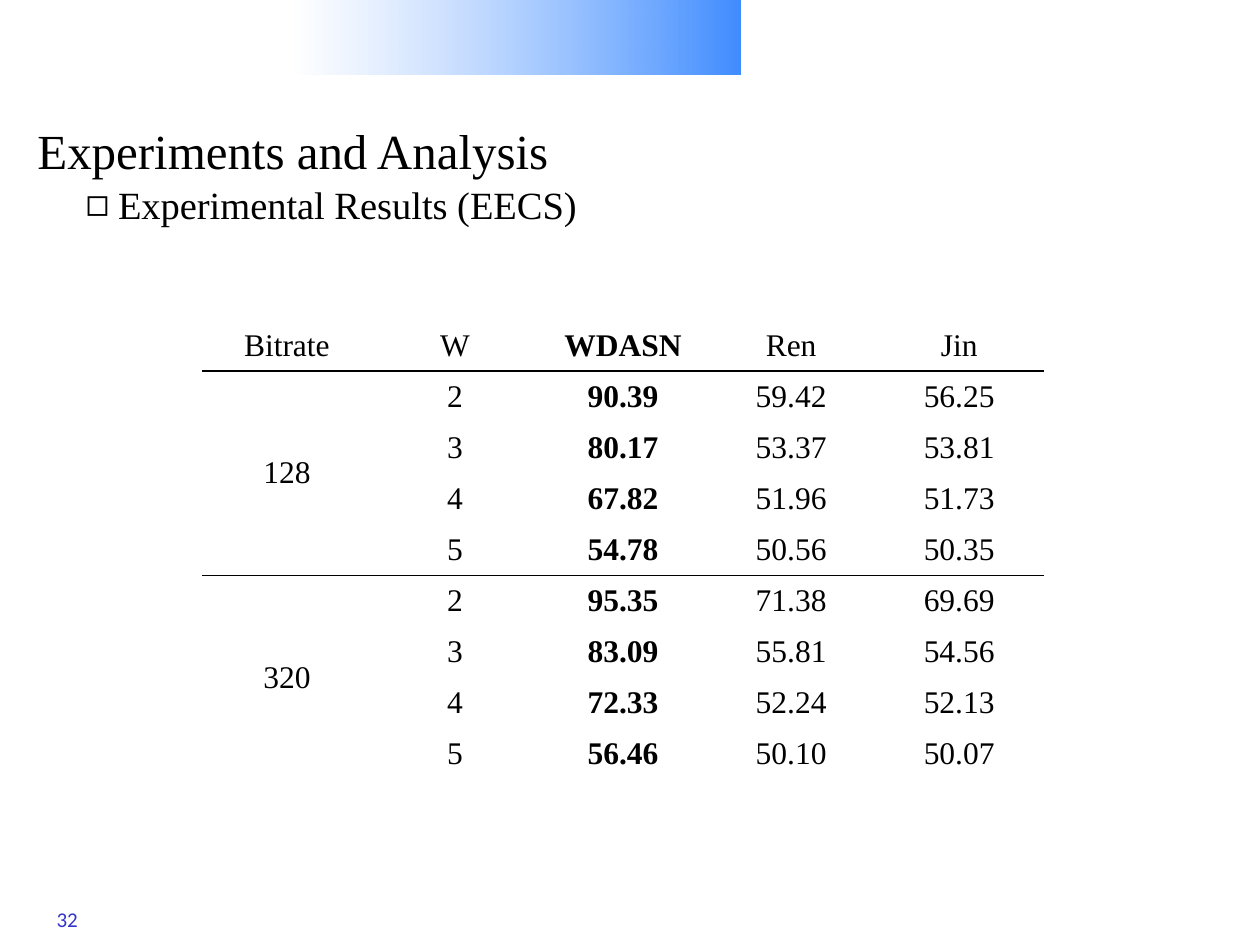
from lxml import etree
from pptx import Presentation
from pptx.dml.color import RGBColor
from pptx.enum.shapes import MSO_SHAPE
from pptx.enum.text import MSO_ANCHOR, MSO_AUTO_SIZE, PP_ALIGN
from pptx.oxml.ns import qn
from pptx.util import Cm, Pt

RECTANGLE = MSO_SHAPE.RECTANGLE
TOP, MIDDLE = MSO_ANCHOR.TOP, MSO_ANCHOR.MIDDLE
NO_AUTOFIT = MSO_AUTO_SIZE.NONE
LEFT, CENTER = PP_ALIGN.LEFT, PP_ALIGN.CENTER
SERIF, SANS = "Times New Roman", "Calibri"
BLACK, WHITE = "000000", "FFFFFF"


def color(value):
    return RGBColor.from_string(value)


def add_text(para, text, size, font=SERIF, hue=BLACK, bold=False):
    span = para.add_run()
    span.text = text
    span.font.size = Pt(size)
    span.font.name = font
    span.font.bold = bold
    span.font.color.rgb = color(hue)


deck = Presentation()
deck.slide_width, deck.slide_height = Cm(25.4), Cm(19.05)
page = deck.slides.add_slide(deck.slide_layouts[1])

# Gradient band at the top
band = page.shapes.add_shape(RECTANGLE, Cm(5.9), 0, Cm(9.02), Cm(1.5))
band.shadow.inherit = False
band.line.fill.background()
band.fill.gradient()
band.fill.gradient_angle = 0
for stop, hue, position in zip(band.fill.gradient_stops, (WHITE, "0066FF"), (0, 1)):
    stop.color.rgb = color(hue)
    stop.position = position
for tint, opacity in zip(band.element.spPr.iter(qn("a:srgbClr")), (48, 75)):
    etree.SubElement(tint, qn("a:alpha"), val=str(opacity * 1000))

# Title and subtitle, in the template's placeholders
title = page.shapes.title
subtitle = page.placeholders[1]
title.left, title.top, title.width, title.height = Cm(0.5), Cm(2.16), Cm(24.9), Cm(1.75)
subtitle.left, subtitle.top, subtitle.width, subtitle.height = Cm(1.47), Cm(3.53), Cm(21.44), Cm(1.2)
for box in (title, subtitle):
    box.text_frame.auto_size = NO_AUTOFIT
    box.text_frame.vertical_anchor = TOP
    box.text_frame.paragraphs[0].alignment = LEFT
    box.text_frame.paragraphs[0].space_before = Pt(0)
title.text_frame.margin_top = Cm(0.27)
add_text(title.text_frame.paragraphs[0], "Experiments and Analysis", 28)

para = subtitle.text_frame.paragraphs[0]
properties = para._p.get_or_add_pPr()
properties.set("marL", str(Cm(0.48)))
properties.set("indent", str(-Cm(0.48)))
etree.SubElement(properties, qn("a:buChar"), char="◻")
add_text(para, " ", 22, SANS)
add_text(para, "Experimental Results (EECS)", 22)

# Results table: one block of rows for each bitrate
header = ["Bitrate", "W", "WDASN", "Ren", "Jin"]
results = {
    "128": [
        ["2", "90.39", "59.42", "56.25"],
        ["3", "80.17", "53.37", "53.81"],
        ["4", "67.82", "51.96", "51.73"],
        ["5", "54.78", "50.56", "50.35"],
    ],
    "320": [
        ["2", "95.35", "71.38", "69.69"],
        ["3", "83.09", "55.81", "54.56"],
        ["4", "72.33", "52.24", "52.13"],
        ["5", "56.46", "50.10", "50.07"],
    ],
}
rows = [header]
block_starts = []
for bitrate, block in results.items():
    block_starts.append(len(rows))
    for index, values in enumerate(block):
        rows.append([bitrate if index == 0 else ""] + values)

frame = page.shapes.add_table(len(rows), len(header), Cm(4.09), Cm(6.45), Cm(16.94), Cm(9.27))
table = frame.table
table.first_row = False
table.horz_banding = False
for row_number, values in enumerate(rows):
    for column_number, text in enumerate(values):
        cell = table.cell(row_number, column_number)
        cell.vertical_anchor = MIDDLE
        merged = column_number == 0 and row_number in block_starts
        next_row = row_number + (4 if merged else 1)
        edges = {
            "L": WHITE,
            "R": WHITE,
            "T": BLACK if row_number in block_starts else WHITE,
            "B": BLACK if next_row in block_starts else WHITE,
        }
        cell_properties = cell._tc.get_or_add_tcPr()
        for side, hue in edges.items():
            line = etree.SubElement(cell_properties, qn(f"a:ln{side}"), w=str(Pt(1)))
            fill = etree.SubElement(line, qn("a:solidFill"))
            etree.SubElement(fill, qn("a:srgbClr"), val=hue)
        cell.fill.background()
        if text:
            para = cell.text_frame.paragraphs[0]
            para.alignment = CENTER
            add_text(para, text, 18, bold=header[column_number] == "WDASN")
for start in block_starts:
    table.cell(start, 0).merge(table.cell(start + 3, 0))

# Page number
box = page.shapes.add_textbox(Cm(0.89), Cm(18.16), Cm(1.19), Cm(0.76))
box.text_frame.word_wrap = True
add_text(box.text_frame.paragraphs[0], "32", 12, SANS, "3333CC")

deck.save("out.pptx")
